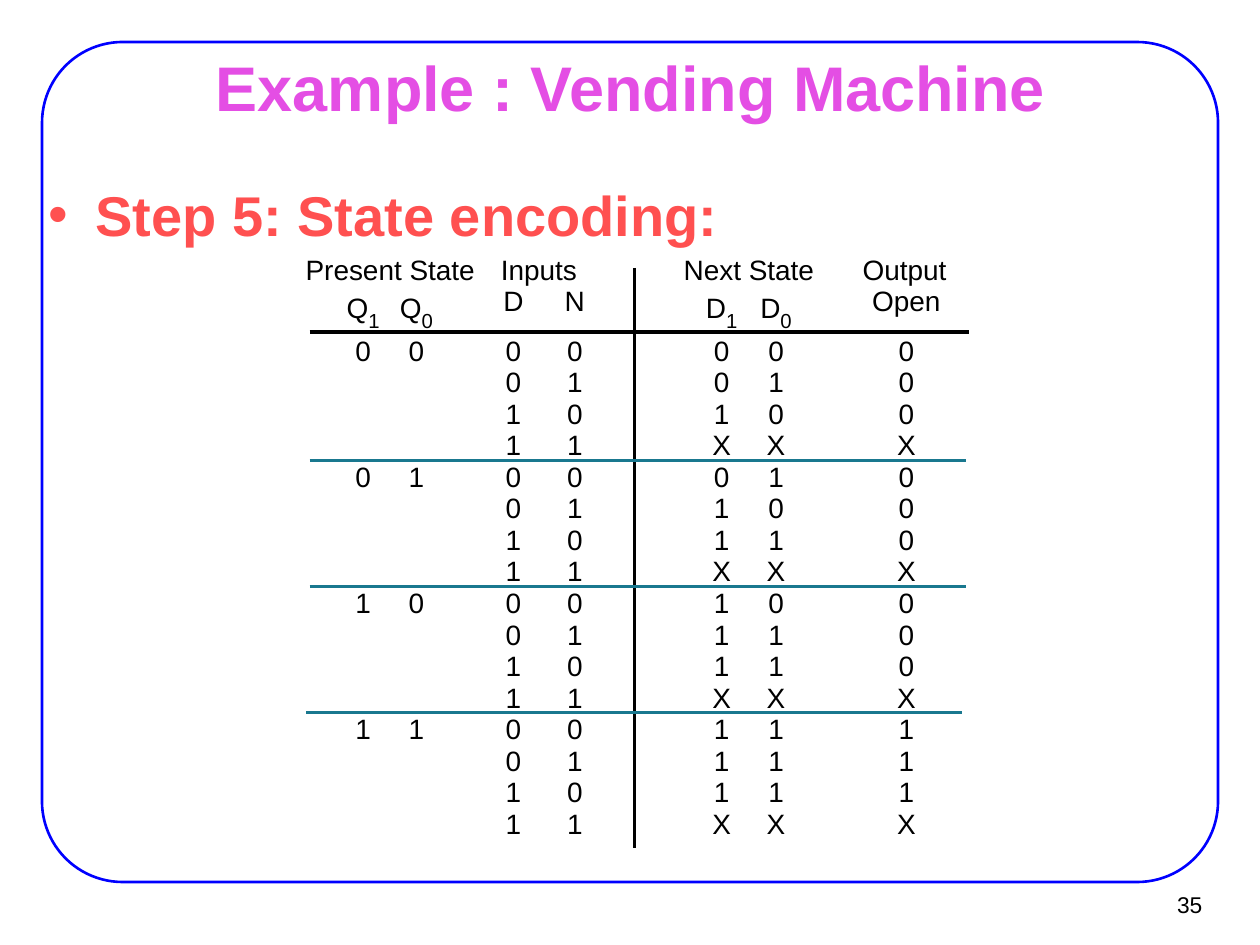
from dataclasses import dataclass

from lxml.etree import SubElement as Sub
from pptx import Presentation
from pptx.dml.color import RGBColor as RGB
from pptx.enum.shapes import MSO_CONNECTOR as Conn, MSO_SHAPE as Shape
from pptx.enum.text import MSO_ANCHOR as Anchor, PP_ALIGN as Align
from pptx.oxml.ns import qn
from pptx.util import Pt


@dataclass(frozen=True)
class Theme:
    font: str = "Arial"
    ink: str = "000000"
    frame: str = "0000FF"
    title: str = "E44EE4"
    step: str = "FF5050"
    rule: str = "19788F"
    head: float = 36
    body: float = 32
    cell: float = 16
    sub: float = 20  # drawn smaller as a subscript
    page: float = 13


T = Theme()

# Truth table: column edges and the centre line of each column, from its left
EDGES = [0, 50, 100, 138, 189, 255, 313, 377]
MIDS = [34.5, 65, 120.5, 155.5, 239.5, 270.5, 345]
HEADS = [("Present State", 0, 2, 50), ("Inputs", 2, 4, 135),
         ("Next State", 4, 6, 255), ("Output", 6, 7, 344)]
NAMES = ["Q1", "Q0", "D", "N", "D1", "D0", "Open"]
STATES = ["00", "01", "10", "11"]
# Next state and output for each present state, by input
NEXT = [["000", "010", "100", "XXX"],
        ["010", "100", "110", "XXX"],
        ["100", "110", "110", "XXX"],
        ["111", "111", "111", "XXX"]]
ROW, NAME_ROW = 18, 26


def style(run, size, color, bold=False):
    font = run.font
    font.name, font.size, font.bold = T.font, Pt(size), bold
    font.color.rgb = RGB.from_string(color)


def text(slide, box, words, size, color, bold=False,
         align=Align.LEFT, anchor=Anchor.TOP, pad=(8, 4)):
    frame = slide.shapes.add_textbox(*map(Pt, box)).text_frame
    frame.word_wrap, frame.vertical_anchor = True, anchor
    frame.margin_left = frame.margin_right = Pt(pad[0])
    frame.margin_top = frame.margin_bottom = Pt(pad[1])
    para = frame.paragraphs[0]
    para.text, para.alignment = words, align
    style(para.runs[0], size, color, bold)
    return para


def line(slide, x1, y1, x2, y2, color):
    rule = slide.shapes.add_connector(Conn.STRAIGHT, *map(Pt, (x1, y1, x2, y2)))
    rule.line.color.rgb = RGB.from_string(color)
    rule.line.width = Pt(2)
    Sub(rule.element.spPr, qn("a:effectLst"))


def border(slide, box):
    shape = slide.shapes.add_shape(Shape.ROUNDED_RECTANGLE, *map(Pt, box))
    shape.adjustments[0] = 0.096
    shape.shadow.inherit = False
    shape.fill.background()
    shape.line.color.rgb = RGB.from_string(T.frame)
    shape.line.width = Pt(1.5)


def bullet(slide, box, words):
    para = text(slide, box, words, T.body, T.step, bold=True)
    props = para._p.get_or_add_pPr()
    props.set("marL", str(Pt(27)))
    props.set("indent", str(Pt(-27)))
    Sub(props, qn("a:buFont"), typeface=T.font)
    Sub(props, qn("a:buChar"), char="•")


def fill(cell, words, left, right, mid):
    """Write a cell, using its margins to centre the words on mid."""
    shift = 2 * mid - left - right
    cell.margin_left, cell.margin_right = Pt(max(0, shift)), Pt(max(0, -shift))
    para = cell.text_frame.paragraphs[0]
    para.text, para.alignment = words, Align.CENTER
    for run in para.runs:
        style(run, T.cell, T.ink)
    return para


def name(cell, word, *place):
    """Write a variable name, with its digit as a subscript."""
    base = word.rstrip("01")
    para = fill(cell, base, *place)
    para.line_spacing = 1.0
    if base != word:
        run = para.add_run()
        run.text = word[len(base):]
        style(run, T.sub, T.ink)
        run.font._element.set("baseline", "-29000")


def truth(slide, x, y):
    # Empty grid
    count = 2 + 4 * len(STATES)
    high = ROW * (count - 1) + NAME_ROW
    table = slide.shapes.add_table(
        count, len(MIDS), Pt(x), Pt(y), Pt(EDGES[-1]), Pt(high)).table
    table.first_row = table.horz_banding = False
    for col, left, right in zip(table.columns, EDGES, EDGES[1:]):
        col.width = Pt(right - left)
    for i, row in enumerate(table.rows):
        row.height = Pt(NAME_ROW if i == 1 else ROW)
    for cell in table.iter_cells():
        cell.fill.background()
        cell.margin_left = cell.margin_right = 0
        cell.margin_top = cell.margin_bottom = 0
        cell.text_frame.paragraphs[0].line_spacing = Pt(ROW)

    # Headings
    for words, first, last, mid in HEADS:
        cell = table.cell(0, first)
        if last - first > 1:
            cell.merge(table.cell(0, last - 1))
        fill(cell, words, EDGES[first], EDGES[last], mid)
    slots = list(zip(EDGES, EDGES[1:], MIDS))
    for c, word in enumerate(NAMES):
        name(table.cell(1, c), word, *slots[c])

    # Values: one block of four inputs for each present state
    for s, state in enumerate(STATES):
        top = 2 + 4 * s
        for c, digit in enumerate(state):
            table.cell(top, c).merge(table.cell(top + 3, c))
            fill(table.cell(top, c), digit, *slots[c])
        for i, (inputs, result) in enumerate(zip(STATES, NEXT[s])):
            for c, value in enumerate(inputs + result, 2):
                fill(table.cell(top + i, c), value, *slots[c])

    # Rules
    start = y + ROW + NAME_ROW
    line(slide, x + 4, start, x + EDGES[-1] + 4, start, T.ink)
    line(slide, x + EDGES[4] + 0.5, y + 7.5, x + EDGES[4] + 0.5, y + 339, T.ink)
    for s in range(1, len(STATES)):
        left = x + (2 if s == 3 else 4)
        level = start + 4 * ROW * s + 1.5
        line(slide, left, level, left + 375, level, T.rule)


def main():
    deck = Presentation()
    deck.slide_width, deck.slide_height = Pt(720), Pt(540)
    slide = deck.slides.add_slide(deck.slide_layouts[6])
    border(slide, (24, 24, 672, 480))
    text(slide, (649.5, 503.5, 44, 26.5), "35", T.page, T.ink,
         align=Align.RIGHT, anchor=Anchor.MIDDLE, pad=(6.5, 3))
    text(slide, (54.5, 31.5, 612, 35.5), "Example : Vending Machine", T.head,
         T.title, bold=True, align=Align.CENTER, anchor=Anchor.MIDDLE)
    bullet(slide, (19.5, 99, 612, 140), "Step 5: State encoding:")
    truth(slide, 173, 145.6)
    deck.save("out.pptx")


if __name__ == "__main__":
    main()
